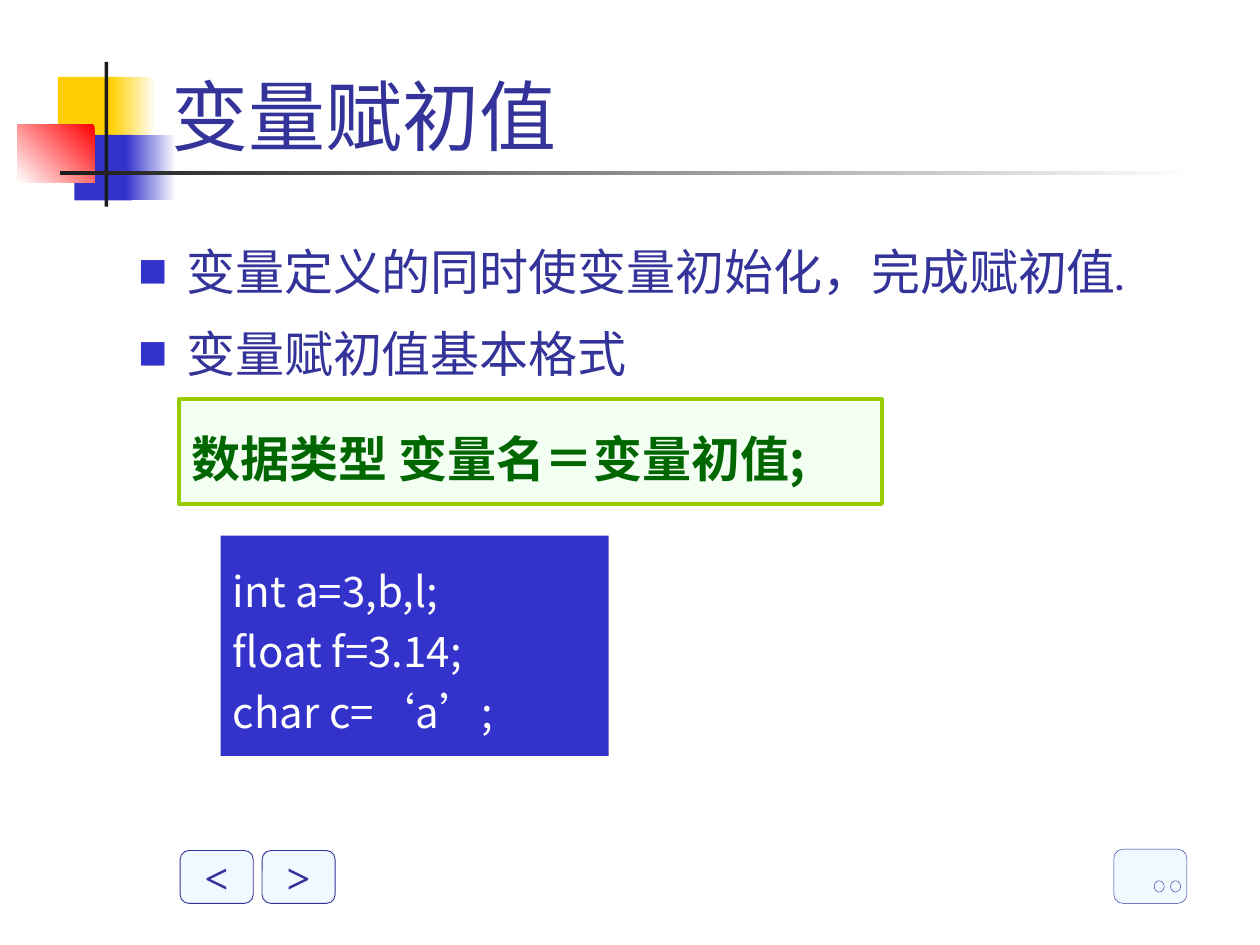
from pptx import Presentation
from pptx.dml.color import RGBColor
from pptx.enum.lang import MSO_LANGUAGE_ID
from pptx.enum.shapes import MSO_SHAPE
from pptx.enum.text import MSO_ANCHOR, PP_ALIGN
from pptx.oxml.ns import qn
from pptx.util import Inches, Pt
from lxml.etree import SubElement


def rgb(value):
    return RGBColor.from_string(value)


def write(frame, lines, format_values, font_values, color, bullet=None):
    for name, value in frame_values.items():
        setattr(frame, name, value)
    for index, line in enumerate(lines):
        paragraph = frame.paragraphs[0] if index == 0 else frame.add_paragraph()
        run = paragraph.add_run()
        run.text = line
        if bullet:
            props = paragraph._p.get_or_add_pPr()
            props.set("marL", str(Inches(0.38)))
            props.set("indent", str(-Inches(0.38)))
            SubElement(SubElement(props, qn("a:buClr")), qn("a:srgbClr"), val="3333CC")
            SubElement(props, qn("a:buSzPct"), val="60000")
            SubElement(props, qn("a:buFont"), typeface="Noto Sans CJK SC")
            SubElement(props, qn("a:buChar"), char=bullet)
            paragraph.space_before = Pt(7 if index else 0)
        for name, value in format_values.items():
            setattr(paragraph, name, value)
        for name, value in font_values.items():
            setattr(run.font, name, value)
        run.font.color.rgb = rgb(color)
        run.font.language_id = MSO_LANGUAGE_ID.SIMPLIFIED_CHINESE
        SubElement(run._r.get_or_add_rPr(), qn("a:ea"), typeface="Noto Sans CJK SC")


CJK = "Noto Sans CJK SC"
INK = "333399"
BLUE = "3333CC"
PALE = "EFF9FF"
frame_values = {
    "word_wrap": True,
    "margin_left": Inches(0.1),
    "margin_right": Inches(0.1),
    "margin_top": Inches(0.05),
    "margin_bottom": Inches(0.05),
}

prs = Presentation()
prs.slide_width = Inches(10)
prs.slide_height = Inches(7.5)
slide = prs.slides.add_slide(prs.slide_layouts[6])
shapes = slide.shapes

decorations = [
    ((0.46, 0.61, 0.48, 0.52), ["FFCF01"], 0),
    ((0.88, 0.61, 0.36, 0.52), ["FFFFFF", "FFCF01"], 180),
    ((0.59, 1.07, 0.46, 0.52), [BLUE], 0),
    ((1, 1.07, 0.4, 0.52), ["FFFFFF", BLUE], 180),
    ((0.14, 0.99, 0.61, 0.46), ["FF0000", "FFFFFF"], 225),
    ((0.83, 0.49, 0.03, 1.15), ["1C1C1C"], 0),
    ((0.48, 1.36, 9, 0.03), ["FFFFFF", "1C1C1C"], 180),
]
for place, colors, angle in decorations:
    block = shapes.add_shape(MSO_SHAPE.RECTANGLE, *map(Inches, place))
    block.shadow.inherit = False
    block.line.fill.background()
    if len(colors) == 1:
        block.fill.solid()
        block.fill.fore_color.rgb = rgb(colors[0])
    else:
        block.fill.gradient()
        block.fill.gradient_angle = angle
        for stop, color in zip(block.fill.gradient_stops, colors):
            stop.color.rgb = rgb(color)

syntax = shapes.add_shape(
    MSO_SHAPE.RECTANGLE, Inches(1.42), Inches(3.17), Inches(5.58), Inches(0.83))
syntax.shadow.inherit = False
syntax.fill.solid()
syntax.fill.fore_color.rgb = rgb("E7FFE7")
SubElement(syntax._element.spPr.find(qn("a:solidFill"))[0], qn("a:alpha"), val="50000")
syntax.line.color.rgb = rgb("99CC00")
syntax.line.width = Pt(2.25)
write(syntax.text_frame, ["数据类型 变量名＝变量初值;"], {"alignment": PP_ALIGN.LEFT},
      {"size": Pt(28), "name": CJK, "bold": True}, "006600")
syntax.text_frame.vertical_anchor = MSO_ANCHOR.MIDDLE
syntax.text_frame.margin_top = Inches(0.15)

title = shapes.add_textbox(Inches(1.26), Inches(0.5), Inches(6.41), Inches(0.83))
write(title.text_frame, ["变量赋初值"], {"alignment": PP_ALIGN.LEFT},
      {"size": Pt(44), "name": CJK}, INK)
title.text_frame.vertical_anchor = MSO_ANCHOR.BOTTOM

points = shapes.add_textbox(Inches(1), Inches(1.67), Inches(8.5), Inches(4.83))
write(points.text_frame, ["变量定义的同时使变量初始化，完成赋初值.", "变量赋初值基本格式"],
      {"line_spacing": 1.2}, {"size": Pt(28), "name": "Karla"}, INK, "■")
points.text_frame.margin_top = Inches(0.15)

example = shapes.add_shape(
    MSO_SHAPE.RECTANGLE, Inches(1.75), Inches(4.25), Inches(3.08), Inches(1.75))
example.shadow.inherit = False
example.fill.solid()
example.fill.fore_color.rgb = rgb(BLUE)
example.line.fill.background()
write(example.text_frame, ["int a=3,b,l;", "float f=3.14;", "char c=‘a’;"],
      {"alignment": PP_ALIGN.LEFT, "line_spacing": 1.2},
      {"size": Pt(24), "name": CJK}, "FFFFFF")
example.text_frame.vertical_anchor = MSO_ANCHOR.MIDDLE

curves = [
    [(9.02, 7.09), (8.95, 7.09), (8.89, 7.01), (8.89, 6.91)],
    [(8.98, 6.91), (8.98, 6.96), (9, 7), (9.02, 7)],
]
outer_bend, inner_bend = [
    [tuple((1 - t) ** 3 * a + 3 * (1 - t) ** 2 * t * b + 3 * (1 - t) * t ** 2 * c + t ** 3 * d
           for a, b, c, d in zip(*curve))
     for t in [step / 8 for step in range(9)]]
    for curve in curves
]
arrow_head = [(8.89, 6.88), (8.85, 6.88), (8.94, 6.79), (9.02, 6.88), (8.98, 6.88)]
return_button = shapes.add_shape(
    MSO_SHAPE.ROUNDED_RECTANGLE, Inches(8.84), Inches(6.74), Inches(0.58), Inches(0.43))
builder = shapes.build_freeform(9.14, 7.09, scale=Inches(1))
builder.add_line_segments(outer_bend + arrow_head + inner_bend + [(9.14, 7)], close=True)
return_parts = [return_button, builder.convert_to_shape()]
for left in (9.16, 9.29):
    return_parts.append(shapes.add_shape(
        MSO_SHAPE.OVAL, Inches(left), Inches(6.99), Inches(0.08), Inches(0.09)))

page_buttons = []
for left, sign in ((2.08, ">"), (1.43, "<")):
    page_button = shapes.add_shape(
        MSO_SHAPE.ROUNDED_RECTANGLE, Inches(left), Inches(6.75), Inches(0.58), Inches(0.42))
    write(page_button.text_frame, [sign], {"alignment": PP_ALIGN.CENTER},
          {"size": Pt(24), "name": "Times New Roman", "bold": True}, INK)
    page_button.text_frame.vertical_anchor = MSO_ANCHOR.MIDDLE
    page_buttons.append(page_button)

for parts, width in ((return_parts, 0.25), (page_buttons, 0.5)):
    for part in parts:
        part.shadow.inherit = False
        part.fill.solid()
        part.fill.fore_color.rgb = rgb(PALE)
        part.line.color.rgb = rgb(INK)
        part.line.width = Pt(width)

prs.save("out.pptx")
